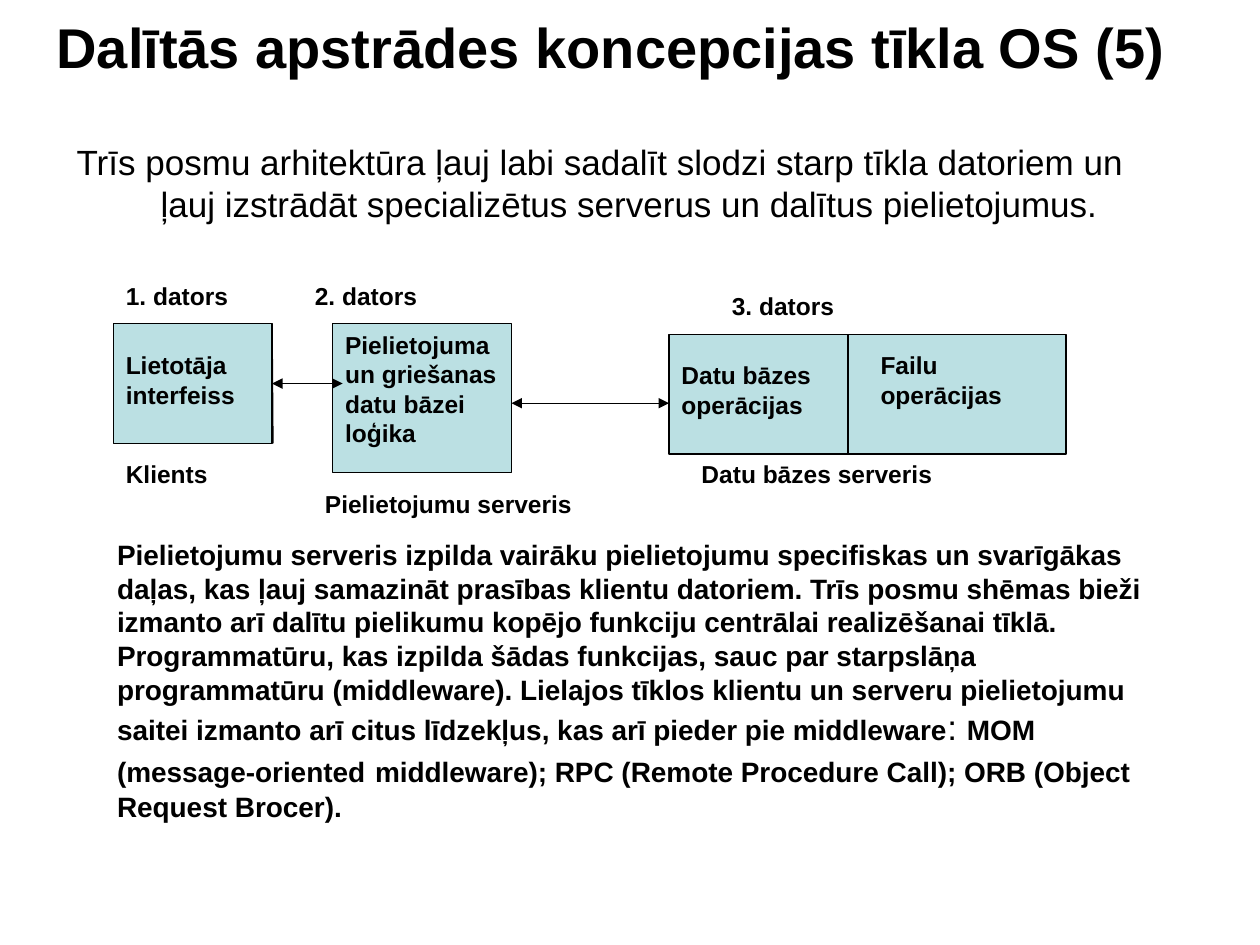
from collections import namedtuple
from dataclasses import dataclass

from lxml import etree
from pptx import Presentation
from pptx.dml.color import RGBColor as Rgb
from pptx.enum.shapes import MSO_CONNECTOR as Link, MSO_SHAPE as Kind
from pptx.enum.text import MSO_ANCHOR as Anchor
from pptx.oxml.ns import qn
from pptx.util import Pt

Box = namedtuple("Box", "x y w h")


@dataclass(frozen=True)
class Theme:
    font: str = "Arial"
    ink: Rgb = Rgb(0, 0, 0)
    fill: Rgb = Rgb(0xBB, 0xE0, 0xE3)
    line: float = 0.75
    title: int = 32
    body: int = 20
    note: int = 16
    label: int = 14


THEME = Theme()


def style(run, size, bold):
    run.font.name = THEME.font
    run.font.size = Pt(size)
    run.font.bold = bold
    run.font.color.rgb = THEME.ink


def add_text(slide, box, runs, anchor=Anchor.TOP):
    """Place one paragraph made of (text, size, bold) runs."""
    frame = slide.shapes.add_textbox(*map(Pt, box)).text_frame
    frame.word_wrap = True
    frame.vertical_anchor = anchor
    para = frame.paragraphs[0]
    for text, size, bold in runs:
        run = para.add_run()
        run.text = text
        style(run, size, bold)
    return para


def add_rect(slide, box):
    rect = slide.shapes.add_shape(Kind.RECTANGLE, *map(Pt, box))
    rect.shadow.inherit = False
    rect.fill.solid()
    rect.fill.fore_color.rgb = THEME.fill
    rect.line.color.rgb = THEME.ink
    rect.line.width = Pt(THEME.line)
    return rect


def add_line(slide, start, end, arrows=False):
    line = slide.shapes.add_connector(Link.STRAIGHT, *map(Pt, start + end))
    line.line.color.rgb = THEME.ink
    line.line.width = Pt(THEME.line)
    props = line._element.spPr
    if arrows:
        for tag in ("a:headEnd", "a:tailEnd"):
            etree.SubElement(props.find(qn("a:ln")), qn(tag), type="triangle")
    etree.SubElement(props, qn("a:effectLst"))
    return line


def add_title(slide, box):
    text = "Dalītās apstrādes koncepcijas tīkla OS (5)"
    add_text(slide, box, [(text, THEME.title, True)], Anchor.MIDDLE)


def add_intro(slide, box):
    text = ("Trīs posmu arhitektūra ļauj labi sadalīt slodzi starp tīkla "
            "datoriem un ļauj izstrādāt specializētus serverus un dalītus "
            "pielietojumus.")
    para = add_text(slide, box, [(text, THEME.body, False)])
    props = para._p.get_or_add_pPr()
    props.set("marL", str(Pt(48)))
    props.set("indent", str(Pt(-48)))


def add_tiers(slide, box):
    def at(x, y):
        return box.x + x, box.y + y

    def rect(x, y, w, h):
        return add_rect(slide, Box(*at(x, y), w, h))

    # Tier boxes
    client = rect(0, 28, 90.7, 68.4)
    rect(125.3, 28, 102.2, 85)
    rect(317.5, 34, 226.8, 68.4)

    # Dividers
    add_line(slide, at(90.7, 28), at(91.2, 96.4))
    add_line(slide, at(419.8, 34), at(419.8, 102.4))

    # Links between tiers
    link = add_line(slide, at(90.7, 62.2), at(131, 62.2), arrows=True)
    link.begin_connect(client, 3)
    add_line(slide, at(227.5, 73.4), at(317.5, 73.4), arrows=True)

    # Computers, roles and servers
    labels = [
        ("1. dators", 0, 0, 118.8, 24.5),
        ("2. dators", 108, 0, 193, 24.5),
        ("3. dators", 346.3, 5.8, 193, 24.5),
        ("Lietotāja interfeiss", 0, 39.6, 90.7, 41),
        ("Pielietojuma un griešanas datu bāzei loģika",
         125.3, 28, 102.2, 75),
        ("Datu bāzes operācijas", 317.5, 45.4, 108, 41),
        ("Failu operācijas", 431.3, 39.6, 108, 41),
        ("Klients", 0, 101.5, 124.6, 24.5),
        ("Pielietojumu serveris", 113.8, 118.8, 175.7, 24.5),
        ("Datu bāzes serveris", 329, 101.5, 153.4, 24.5),
    ]
    for text, x, y, w, h in labels:
        add_text(slide, Box(*at(x, y), w, h), [(text, THEME.label, True)])


def add_note(slide, box):
    text = ("Pielietojumu serveris izpilda vairāku pielietojumu specifiskas "
            "un svarīgākas daļas, kas ļauj samazināt prasības klientu "
            "datoriem. Trīs posmu shēmas bieži izmanto arī dalītu pielikumu "
            "kopējo funkciju centrālai realizēšanai tīklā. Programmatūru, kas "
            "izpilda šādas funkcijas, sauc par starpslāņa programmatūru "
            "(middleware). Lielajos tīklos klientu un serveru pielietojumu "
            "saitei izmanto arī citus līdzekļus, kas arī pieder pie middleware")
    add_text(slide, box, [
        (text, THEME.note, True),
        (": ", THEME.body, False),
        ("MOM (message-oriented", THEME.note, True),
        (" ", THEME.body, False),
        ("middleware); RPC (Remote Procedure Call); ORB (Object Request "
         "Brocer).", THEME.note, True),
    ])


def main():
    deck = Presentation()
    deck.slide_width, deck.slide_height = Pt(720), Pt(540)
    slide = deck.slides.add_slide(deck.slide_layouts[6])
    add_title(slide, Box(25.2, 6.5, 669, 39.6))
    add_intro(slide, Box(36.7, 77, 641, 414))
    add_tiers(slide, Box(64.8, 157, 544.3, 143.3))
    add_note(slide, Box(59.8, 303.8, 607, 229))
    deck.save("out.pptx")


if __name__ == "__main__":
    main()
